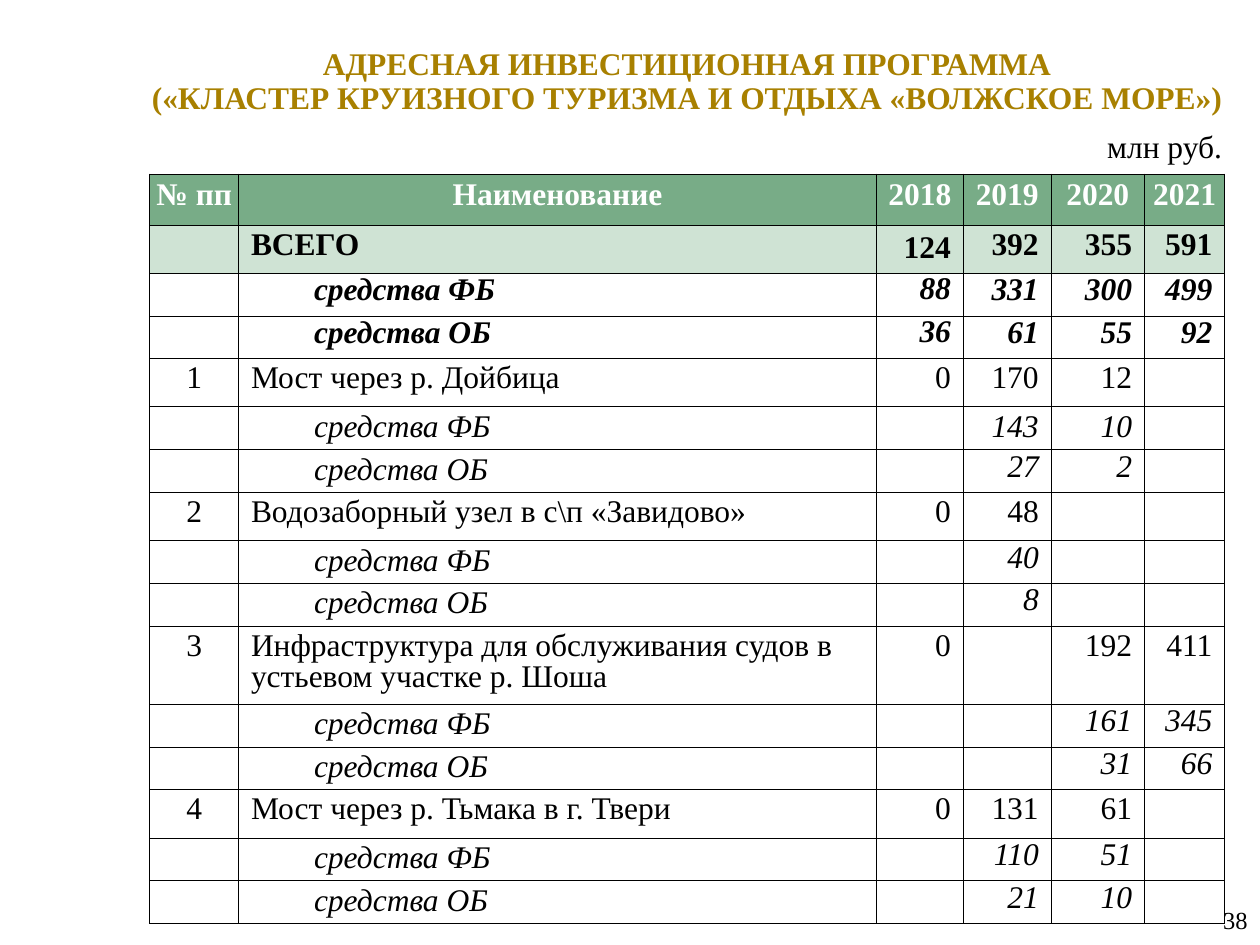
from lxml import etree
from pptx import Presentation
from pptx.dml.color import RGBColor
from pptx.enum.text import MSO_ANCHOR as ANCHOR, PP_ALIGN as ALIGN
from pptx.oxml.ns import qn
from pptx.util import Cm, Pt

FONT = "Times New Roman"
GOLD = RGBColor(0xA8, 0x80, 0x00)
BLACK = RGBColor(0, 0, 0)
WHITE = RGBColor(0xFF, 0xFF, 0xFF)
GREEN = RGBColor(0x78, 0xAC, 0x87)
PALE_GREEN = RGBColor(0xCF, 0xE3, 0xD4)

COL_WIDTHS = [1.79, 12.86, 1.75, 1.77, 1.88, 1.62]
ROW_HEIGHTS = {"header": 1.03, "total": 0.97, "item": 0.97, "long": 1.57,
               "total_fund": 0.86, "fund": 0.86}
FILLS = {"header": GREEN, "total": PALE_GREEN}
FB, OB = "средства ФБ", "средства ОБ"

# Row kind, then the six cell texts
ROWS = [
    ("header", "№ пп", "Наименование", "2018", "2019", "2020", "2021"),
    ("total", "", "ВСЕГО", "124", "392", "355", "591"),
    ("total_fund", "", FB, "88", "331", "300", "499"),
    ("total_fund", "", OB, "36", "61", "55", "92"),
    ("item", "1", "Мост через р. Дойбица", "0", "170", "12", ""),
    ("fund", "", FB, "", "143", "10", ""),
    ("fund", "", OB, "", "27", "2", ""),
    ("item", "2", "Водозаборный узел в с\\п «Завидово»", "0", "48", "", ""),
    ("fund", "", FB, "", "40", "", ""),
    ("fund", "", OB, "", "8", "", ""),
    ("long", "3", "Инфраструктура для обслуживания судов в устьевом участке р. Шоша",
     "0", "", "192", "411"),
    ("fund", "", FB, "", "", "161", "345"),
    ("fund", "", OB, "", "", "31", "66"),
    ("item", "4", "Мост через р. Тьмака в г. Твери", "0", "131", "61", ""),
    ("fund", "", FB, "", "110", "51", ""),
    ("fund", "", OB, "", "21", "10", ""),
]


def write(p, text, color=BLACK, align=ALIGN.LEFT, spacing=1.0, size=18, **styles):
    p.text = text
    p.alignment = align
    p.line_spacing = spacing
    font_format = {"name": FONT, "size": Pt(size), **styles}
    for r in p.runs:
        for key, value in font_format.items():
            setattr(r.font, key, value)
        r.font.color.rgb = color


def add_text(slide, box, text, anchor=ANCHOR.TOP, wrap=True, **fmt):
    tf = slide.shapes.add_textbox(*map(Cm, box)).text_frame
    tf.word_wrap = wrap
    tf.vertical_anchor = anchor
    write(tf.paragraphs[0], text, **fmt)


def set_borders(cell):
    tc_pr = cell._tc.get_or_add_tcPr()
    for side in ("lnL", "lnR", "lnT", "lnB"):
        ln = etree.SubElement(tc_pr, qn(f"a:{side}"), w=str(Pt(0.5)))
        solid = etree.SubElement(ln, qn("a:solidFill"))
        etree.SubElement(solid, qn("a:srgbClr"), val=str(BLACK))


def set_margins(cell, kind, text):
    side = 0.03 if kind == "header" else 0.25
    vertical = {"header": 0.13, "fund": 0.05, "total_fund": 0.05}.get(kind, 0.1)
    if not text:
        vertical = 0  # keeps empty cells from stretching the row
    margins = {"margin_left": side, "margin_right": side,
               "margin_top": vertical, "margin_bottom": vertical}
    for key, value in margins.items():
        setattr(cell, key, Cm(value))


def line_spacing(kind, col, first_fund):
    if kind in ("total", "total_fund") and col == 2:
        return 0.85
    if kind == "fund" and (col == 1 or first_fund):
        return 1.0
    return 0.9


def fill_cell(cell, kind, col, text, first_fund):
    set_borders(cell)
    cell.fill.solid()
    cell.fill.fore_color.rgb = FILLS.get(kind, WHITE)
    set_margins(cell, kind, text)
    if not text:
        return
    if kind == "header" or col == 0:
        align = ALIGN.CENTER
    else:
        align = ALIGN.LEFT if col == 1 else ALIGN.RIGHT
    p = cell.text_frame.paragraphs[0]
    write(p, text, WHITE if kind == "header" else BLACK, align,
          line_spacing(kind, col, first_fund),
          bold=kind in ("header", "total", "total_fund"),
          italic=kind in ("fund", "total_fund"))
    if col == 1 and kind in ("fund", "total_fund"):
        p.level = 1
        p_pr = p._p.get_or_add_pPr()
        p_pr.set("marL", str(Cm(1.27)))
        p_pr.set("indent", "0")
    if kind == "total" and col == 2:
        cell.vertical_anchor = ANCHOR.MIDDLE
        cell.margin_top = cell.margin_bottom = Cm(0.05)


def add_budget_table(slide):
    heights = [ROW_HEIGHTS[row[0]] for row in ROWS]
    table = slide.shapes.add_table(
        len(ROWS), len(COL_WIDTHS), Cm(3.02), Cm(3.51),
        Cm(sum(COL_WIDTHS)), Cm(sum(heights))).table
    table.horz_banding = False
    for column, width in zip(table.columns, COL_WIDTHS):
        column.width = Cm(width)
    kinds = [row[0] for row in ROWS]
    first_fund_row = kinds.index("fund")
    for i, (kind, *texts) in enumerate(ROWS):
        table.rows[i].height = Cm(heights[i])
        for col, text in enumerate(texts):
            fill_cell(table.cell(i, col), kind, col, text, i == first_fund_row)


def main():
    prs = Presentation()
    prs.slide_width, prs.slide_height = Cm(25.4), Cm(19.05)
    slide = prs.slides.add_slide(prs.slide_layouts[6])

    # Title and unit of measure
    add_text(slide, (2.64, 0.3, 22.43, 2.72),
             "АДРЕСНАЯ ИНВЕСТИЦИОННАЯ ПРОГРАММА\v"
             "(«КЛАСТЕР КРУИЗНОГО ТУРИЗМА И ОТДЫХА «ВОЛЖСКОЕ МОРЕ»)",
             ANCHOR.MIDDLE, color=GOLD, align=ALIGN.CENTER, spacing=0.9, bold=True)
    add_text(slide, (22.07, 2.44, 2.97, 1.02), "млн руб.", wrap=False)

    # Slide number
    add_text(slide, (19.69, 18.03, 5.71, 1.02), "38", ANCHOR.MIDDLE,
             align=ALIGN.RIGHT, size=14)

    # Programme funding by year
    add_budget_table(slide)
    prs.save("out.pptx")


if __name__ == "__main__":
    main()
